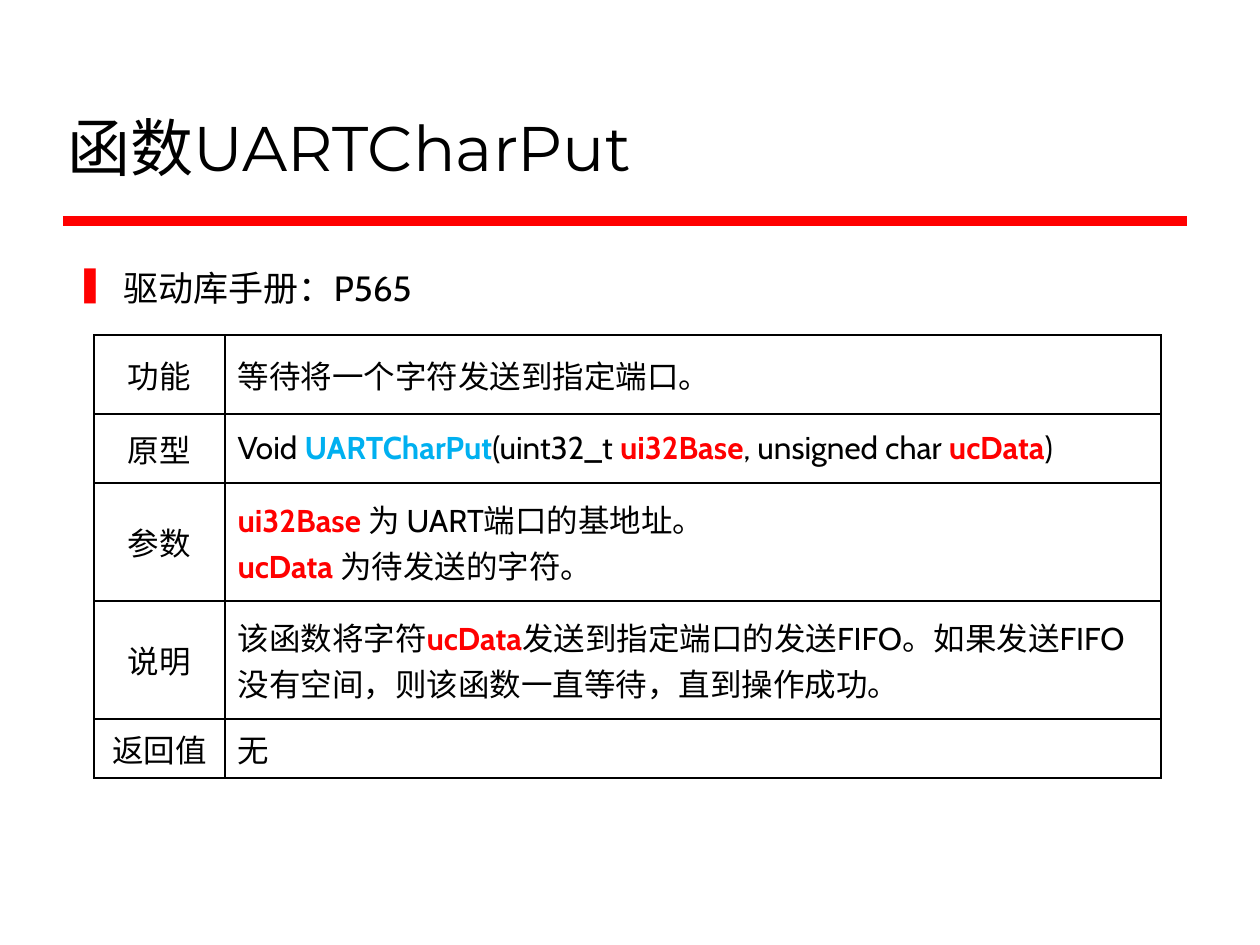
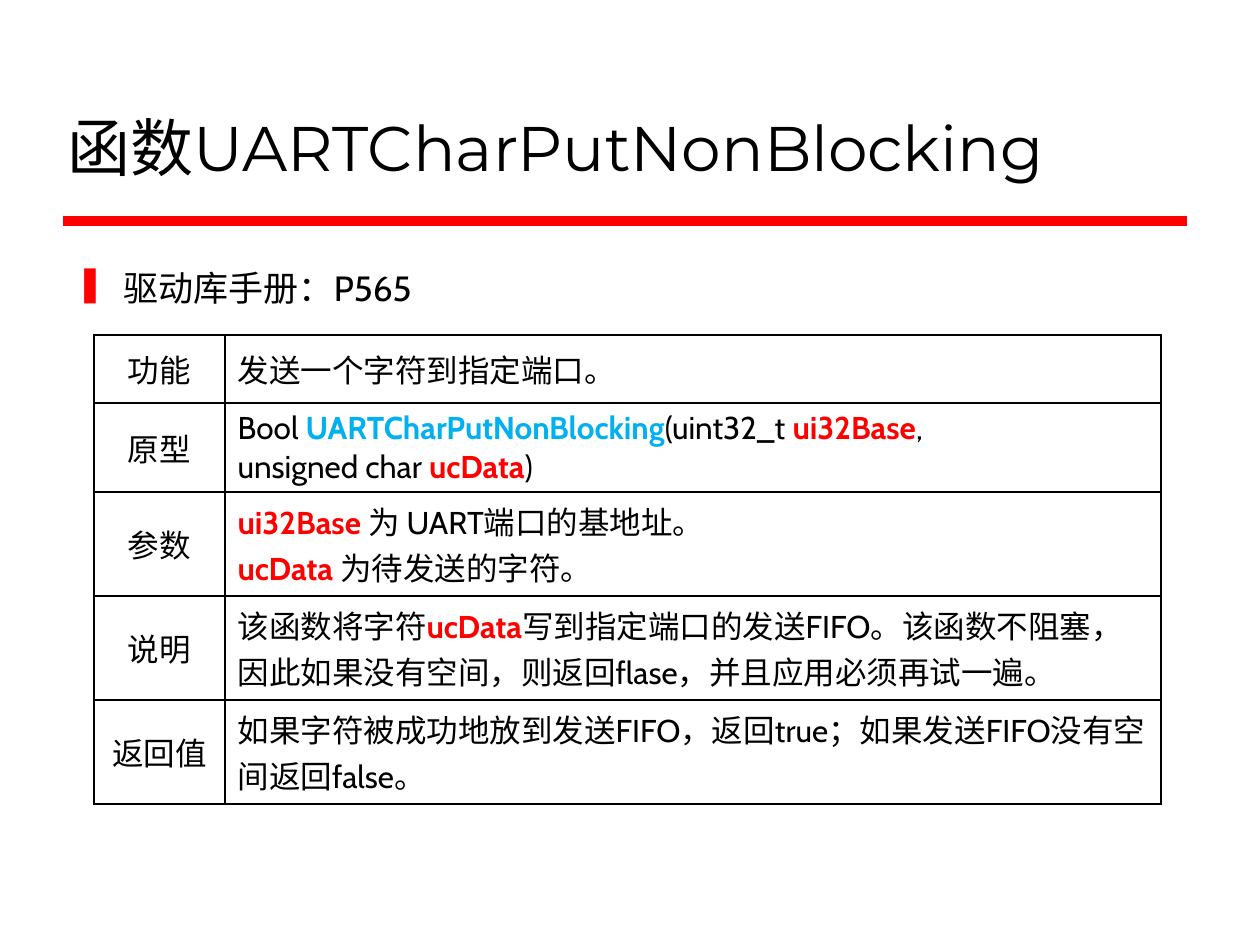
import pptx
import pptx.util
import pptx.dml.color
import pptx.enum.shapes
import pptx.enum.text
import pptx.oxml.ns
import lxml.etree

PX = 914400 // 126
INK = {"text": "000000", "rule": "FF0000", "arg": "FF0000", "func": "00B0F0"}
MID = pptx.enum.text.MSO_ANCHOR.MIDDLE
LOW = pptx.enum.text.MSO_ANCHOR.BOTTOM
TOP = pptx.enum.text.MSO_ANCHOR.TOP
CENTER = pptx.enum.text.PP_ALIGN.CENTER
LEFT = pptx.enum.text.PP_ALIGN.LEFT
FONT = {
    "title": {"name": "Montserrat", "size": pptx.util.Pt(36), "bold": False},
    "body": {"name": "Cabin", "size": pptx.util.Pt(20), "bold": False},
    "cell": {"name": "Cabin", "size": pptx.util.Pt(18), "bold": False},
}
GAP = {"space_before": pptx.util.Pt(6), "space_after": pptx.util.Pt(6)}
TONE = {"ui32Base": "arg", "ucData": "arg",
        "UARTCharPut": "func", "UARTCharPutNonBlocking": "func"}
HEADS = ["功能", "原型", "参数", "说明", "返回值"]
ARGS = ["|ui32Base| 为 UART端口的基地址。", "|ucData| 为待发送的字符。"]
PAGES = [
    {"name": "UARTCharPut", "rows": [79, 69, 118, 118, 59], "text": [
        ["等待将一个字符发送到指定端口。"],
        ["Void |UARTCharPut|(uint32_t |ui32Base|, unsigned char |ucData|)"],
        ARGS,
        ["该函数将字符|ucData|发送到指定端口的发送FIFO。如果发送FIFO没有空间，"
         "则该函数一直等待，直到操作成功。"],
        ["无"]]},
    {"name": "UARTCharPutNonBlocking", "rows": [68, 89, 104, 104, 104], "text": [
        ["发送一个字符到指定端口。"],
        ["Bool |UARTCharPutNonBlocking|(uint32_t |ui32Base|,",
         "unsigned char |ucData|)"],
        ARGS,
        ["该函数将字符|ucData|写到指定端口的发送FIFO。该函数不阻塞，"
         "因此如果没有空间，则返回flase，并且应用必须再试一遍。"],
        ["如果字符被成功地放到发送FIFO，返回true；如果发送FIFO没有空间返回false。"]]},
]


def put(item, form):
    for key, value in form.items():
        setattr(item, key, value)


def color(key):
    return pptx.dml.color.RGBColor.from_string(INK[key])


def add(node, tag, **attrs):
    return lxml.etree.SubElement(node, pptx.oxml.ns.qn("a:" + tag), attrs)


def tint(node, key):
    add(node, "srgbClr", val=INK[key])


def write(frame, lines, font, form):
    for spot, line in enumerate(lines):
        para = frame.add_paragraph() if spot else frame.paragraphs[0]
        put(para, form)
        for piece in filter(None, line.split("|")):
            run = para.add_run()
            run.text = piece
            put(run.font, FONT[font])
            run.font.color.rgb = color(TONE.get(piece, "text"))
            run.font.bold = piece in TONE


def label(slide, box, line, font, anchor, form):
    frame = slide.shapes.add_textbox(*(n * PX for n in box)).text_frame
    put(frame, {"word_wrap": True, "vertical_anchor": anchor})
    write(frame, [line], font, form)
    return frame.paragraphs[0]


def header(slide, box, name):
    x, y, wide, high = box
    line = slide.shapes.add_connector(
        pptx.enum.shapes.MSO_CONNECTOR.STRAIGHT,
        (x + 8) * PX, (y + high + 31) * PX, (x + wide + 2) * PX, (y + high + 31) * PX)
    line.line.color.rgb = color("rule")
    line.line.width = pptx.util.Pt(6)
    add(line._element.spPr, "effectLst")
    para = label(slide, box, "函数" + name, "title", LOW, {"alignment": LEFT})
    para.runs[0].font.bold = False


def bullet(slide, box, line):
    para = label(slide, box, line, "body", TOP, {"space_before": pptx.util.Pt(4)})
    props = para._p.get_or_add_pPr()
    props.set("marL", str(48 * PX))
    props.set("indent", str(-48 * PX))
    tint(add(props, "buClr"), "rule")
    add(props, "buChar", char="❚")


def border(cell):
    props = cell._tc.get_or_add_tcPr()
    for side in ("lnL", "lnR", "lnT", "lnB"):
        line = add(props, side, w=str(pptx.util.Pt(1)))
        tint(add(line, "solidFill"), "text")


def grid(slide, box, rows, texts):
    x, y, wide, high = box
    table = slide.shapes.add_table(
        len(rows), 2, x * PX, y * PX, wide * PX, high * PX).table
    put(table, {"first_row": False, "horz_banding": False})
    side = 131
    for col, size in zip(table.columns, (side, wide - side)):
        col.width = size * PX
    for spot, (size, head, text) in enumerate(zip(rows, HEADS, texts)):
        table.rows[spot].height = size * PX
        gap = {} if spot else GAP
        pairs = (([head], {"alignment": CENTER}), (text, {"alignment": LEFT, **gap}))
        for cell, (lines, form) in zip(table.rows[spot].cells, pairs):
            border(cell)
            cell.fill.background()
            cell.vertical_anchor = MID
            write(cell.text_frame, lines, "cell", form)


def page(deck, data):
    slide = deck.slides.add_slide(deck.slide_layouts[6])
    header(slide, (55, 32, 1130, 158), data["name"])
    bullet(slide, (63, 260, 1126, 575), "驱动库手册：P565")
    grid(slide, (94, 335, 1067, sum(data["rows"])), data["rows"], data["text"])


deck = pptx.Presentation()
put(deck, {"slide_width": 1260 * PX, "slide_height": 945 * PX})
for data in PAGES:
    page(deck, data)
deck.save("out.pptx")
